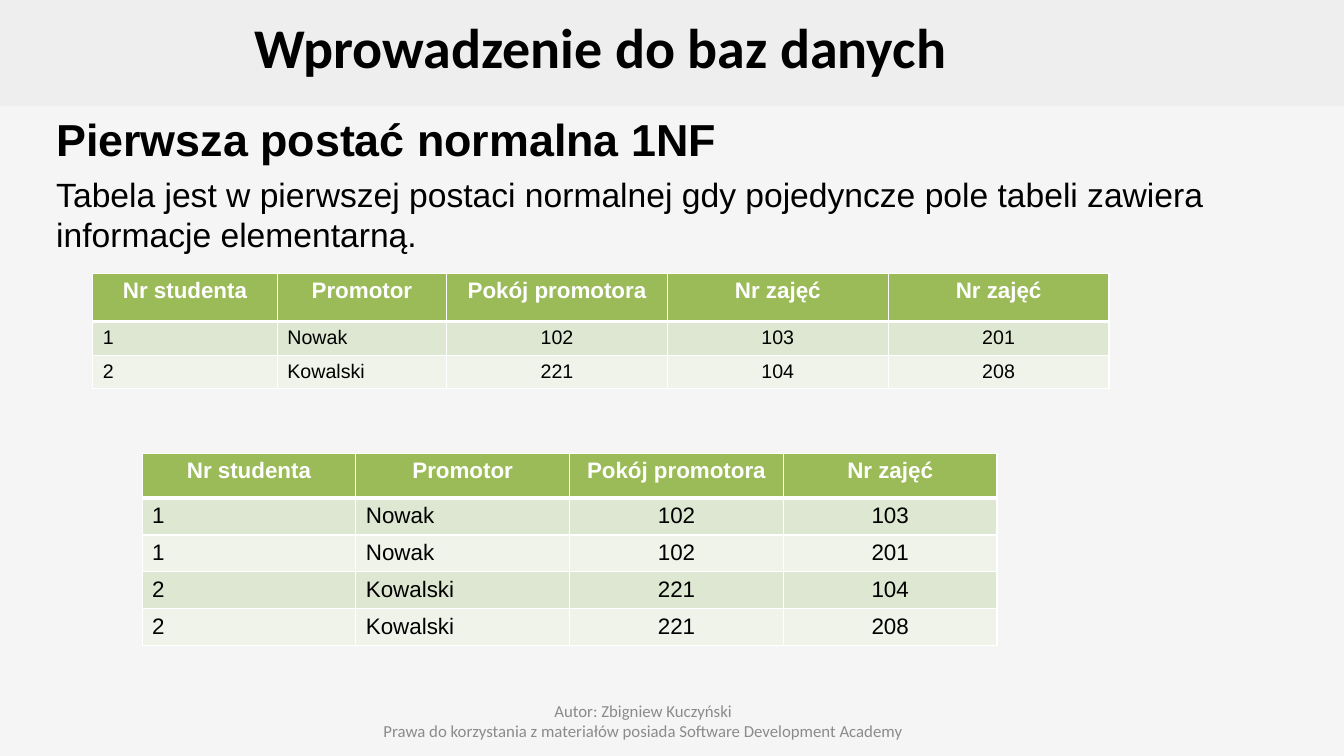
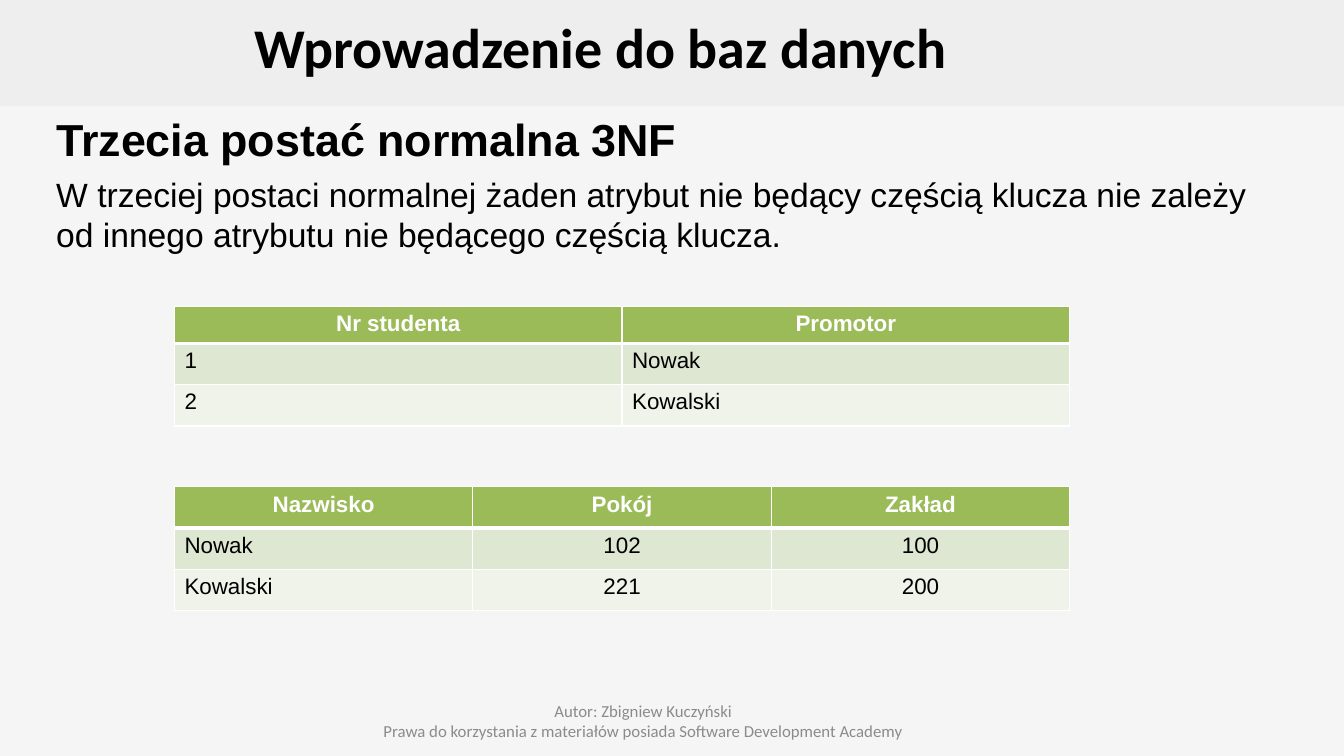
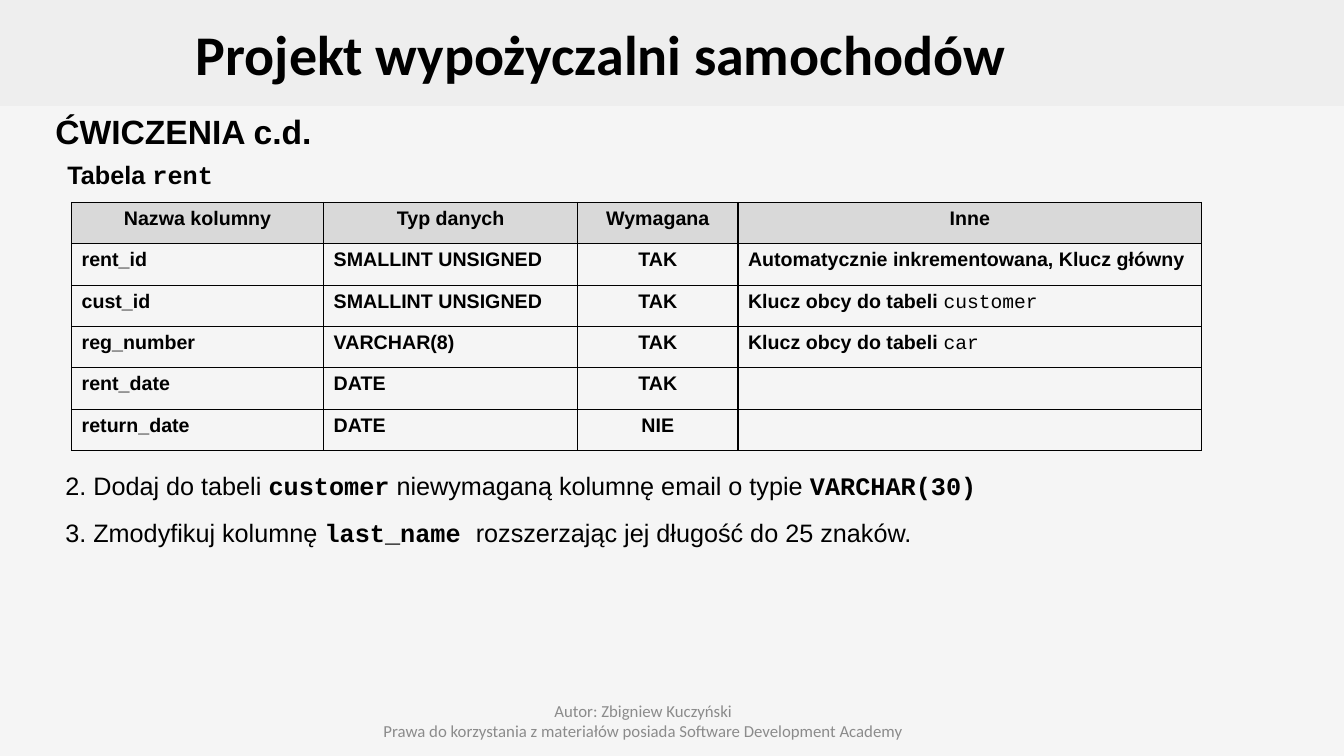
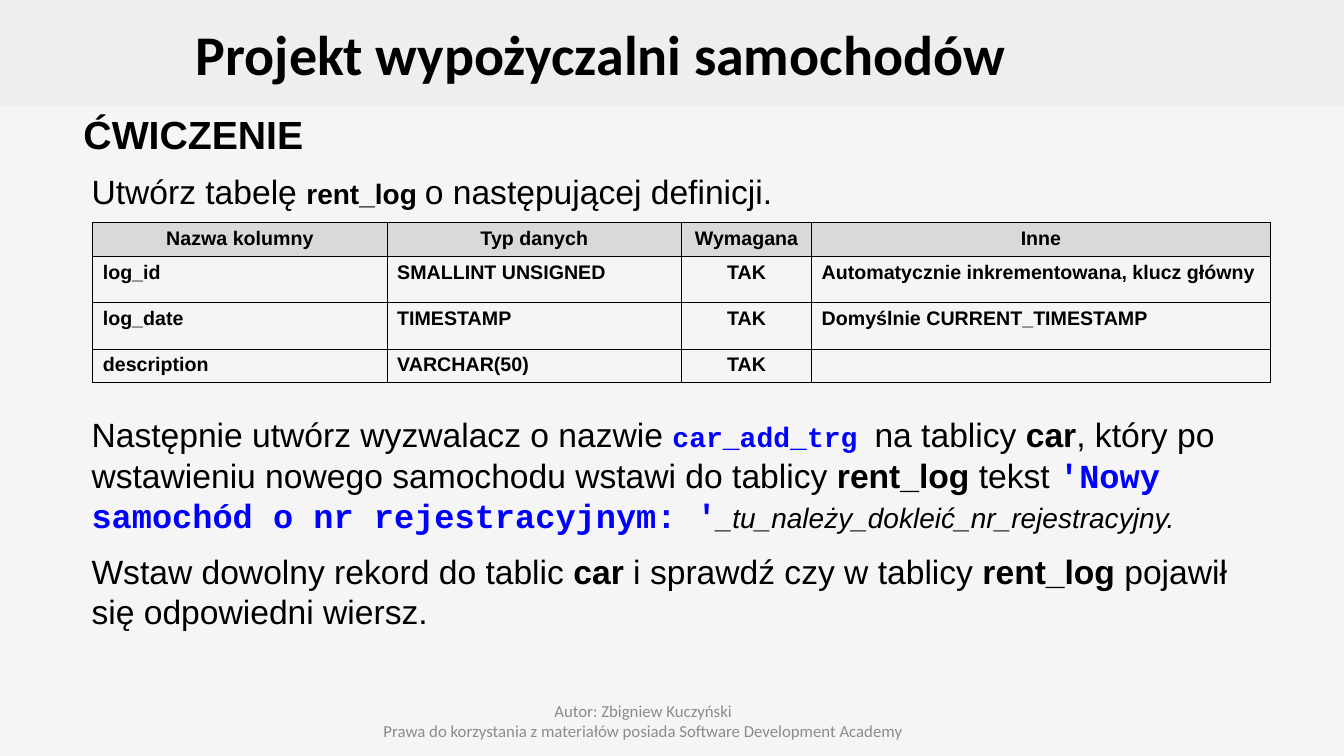
"""Builds four slides on database normal forms and a car rental exercise."""
from dataclasses import dataclass

from lxml.etree import SubElement
from pptx import Presentation
from pptx.dml.color import RGBColor
from pptx.enum.shapes import MSO_SHAPE
from pptx.enum.text import MSO_ANCHOR, PP_ALIGN
from pptx.oxml.ns import qn
from pptx.util import Inches, Pt


@dataclass(frozen=True)
class Theme:
    """Colours, fonts and type sizes of the deck."""
    background: str = "F5F5F5"
    band: str = "EEEEEE"
    ink: str = "000000"
    muted: str = "8B8B8B"
    code: str = "0000FF"
    light: str = "FFFFFF"
    green: str = "9BBB59"
    stripes: tuple = ("DEE7D1", "EFF3EA")
    grey: str = "D9D9D9"
    heading_font: str = "Calibri"
    body_font: str = "Arial"
    code_font: str = "Courier New"
    title: int = 40
    lead: int = 32
    exercise: int = 28
    body: int = 24
    inset: int = 20
    item: int = 18
    cell: int = 16
    small: int = 14
    footer: int = 12
    gap: float = 5.7


THEME = Theme()
BOLD = {"bold": True}
CODE = {"name": THEME.code_font}
BOLD_CODE = {**CODE, **BOLD}
BLUE_CODE = {**BOLD_CODE, "color": THEME.code}
LEAD = {**BOLD, "size": THEME.lead}
ALIGN = {"l": PP_ALIGN.LEFT, "c": PP_ALIGN.CENTER}


class Deck:
    """Holds the theme and the current slide, and draws each kind of element."""

    def __init__(self, theme):
        self.theme = theme
        self.prs = Presentation()
        self.prs.slide_width = Inches(13.33)
        self.prs.slide_height = Inches(7.5)
        self.paint(self.prs.slide_master.background.fill, theme.background)
        self.slide = None

    def paint(self, fill, color):
        fill.solid()
        fill.fore_color.rgb = RGBColor.from_string(color)

    def new_slide(self, title, top, height):
        theme = self.theme
        self.slide = self.prs.slides.add_slide(self.prs.slide_layouts[6])
        band = self.slide.shapes.add_shape(
            MSO_SHAPE.RECTANGLE, 0, 0, self.prs.slide_width, Inches(1.05))
        band.shadow.inherit = False
        band.line.fill.background()
        self.paint(band.fill, theme.band)
        heading = {"name": theme.heading_font, "size": theme.title, "bold": True}
        self.text((0, top, 11.91, height), [[title]], heading,
                  align="c", anchor=MSO_ANCHOR.MIDDLE)
        credit = {"name": theme.heading_font, "size": theme.footer, "color": theme.muted}
        self.text((3.25, 6.95, 6.26, 0.4),
                  [["Autor: Zbigniew Kuczyński"],
                   ["Prawa do korzystania z materiałów posiada Software Development Academy"]],
                  credit, gap=0, align="c", anchor=MSO_ANCHOR.MIDDLE)

    def add_runs(self, paragraph, runs, base):
        plain = {"name": self.theme.body_font, "bold": False, "color": self.theme.ink, **base}
        for piece in runs:
            words, style = (piece, {}) if isinstance(piece, str) else piece
            run = paragraph.add_run()
            run.text = words
            values = {**plain, **style}
            run.font.color.rgb = RGBColor.from_string(values.pop("color"))
            values["size"] = Pt(values["size"])
            for key, value in values.items():
                setattr(run.font, key, value)

    def text(self, box, paragraphs, base, gap=None, indents=(), align="l",
             anchor=MSO_ANCHOR.TOP):
        frame = self.slide.shapes.add_textbox(*map(Inches, box)).text_frame
        frame.word_wrap = True
        frame.vertical_anchor = anchor
        for index, runs in enumerate(paragraphs):
            paragraph = frame.paragraphs[0] if index == 0 else frame.add_paragraph()
            paragraph.alignment = ALIGN[align]
            if index:
                paragraph.space_before = Pt(self.theme.gap if gap is None else gap)
            if index < len(indents):
                properties = paragraph._p.get_or_add_pPr()
                properties.set("marL", str(Inches(indents[index])))
            self.add_runs(paragraph, runs, base)

    def border(self, cell, color, top, bottom):
        properties = cell._tc.get_or_add_tcPr()
        for side, width in {"L": 1, "R": 1, "T": top, "B": bottom}.items():
            line = SubElement(properties, qn(f"a:ln{side}"), w=str(Pt(width)))
            SubElement(SubElement(line, qn("a:solidFill")), qn("a:srgbClr"), val=color)

    def table(self, left, top, columns, heights, aligns, rows, size, striped):
        theme = self.theme
        table = self.slide.shapes.add_table(
            len(rows), len(columns), Inches(left), Inches(top),
            Inches(sum(columns)), Inches(sum(heights))).table
        for column, width in zip(table.columns, columns):
            column.width = Inches(width)
        rule = 3 if striped else 1
        for r, (row, height) in enumerate(zip(rows, heights)):
            table.rows[r].height = Inches(height)
            header = r == 0
            style = {"size": size, "bold": header or not striped}
            if header and striped:
                style.update(size=theme.cell, color=theme.light)
            for c, content in enumerate(row):
                cell = table.cell(r, c)
                self.border(cell, theme.light if striped else theme.ink,
                            rule if r == 1 else 1, rule if header else 1)
                if header:
                    self.paint(cell.fill, theme.green if striped else theme.grey)
                elif striped:
                    self.paint(cell.fill, theme.stripes[(r - 1) % 2])
                else:
                    cell.fill.background()
                paragraph = cell.text_frame.paragraphs[0]
                paragraph.alignment = ALIGN["c" if header else aligns[c]]
                if content:
                    runs = [content] if isinstance(content, str) else content
                    self.add_runs(paragraph, runs, style)
                else:
                    SubElement(paragraph._p, qn("a:endParaRPr"), sz=str(size * 100))

    def striped_table(self, left, top, columns, heights, aligns, rows, size=THEME.cell):
        self.table(left, top, columns, heights, aligns, rows, size, True)

    def definition_table(self, left, top, columns, heights, rows):
        header = ["Nazwa kolumny", "Typ danych", "Wymagana", "Inne"]
        self.table(left, top, columns, heights, "llcl", [header, *rows],
                   self.theme.small, False)

    def normal_form(self, name, definition):
        self.new_slide("Wprowadzenie do baz danych", 0.04, 0.83)
        self.text((0.46, 1.06, 12.3, 1.47), [[(name, LEAD)], [definition]],
                  {"size": self.theme.body})

    def exercise(self):
        self.new_slide("Projekt wypożyczalni samochodów", 0, 1.05)


def first_normal_form(deck):
    deck.normal_form(
        "Pierwsza postać normalna 1NF",
        "Tabela jest w pierwszej postaci normalnej gdy pojedyncze pole tabeli "
        "zawiera informacje elementarną.")
    header = ["Nr studenta", "Promotor", "Pokój promotora", "Nr zajęć"]
    students = [["1", "Nowak", "102", "103", "201"], ["2", "Kowalski", "221", "104", "208"]]
    deck.striped_table(0.92, 2.71, [1.83, 1.68] + [2.19] * 3, [0.48, 0.32, 0.32],
                       "llccc", [header + header[-1:], *students], THEME.small)
    single = [[*student[:3], lesson] for student in students for lesson in student[3:]]
    deck.striped_table(1.41, 4.5, [2.12] * 4, [0.44] + [0.35] * 4, "llcc", [header, *single])


def third_normal_form(deck):
    deck.normal_form(
        "Trzecia postać normalna 3NF",
        "W trzeciej postaci normalnej żaden atrybut nie będący częścią klucza nie zależy "
        "od innego atrybutu nie będącego częścią klucza.")
    deck.striped_table(1.73, 3.04, [4.44] * 2, [0.36, 0.41, 0.41], "ll",
                       [["Nr studenta", "Promotor"], ["1", "Nowak"], ["2", "Kowalski"]])
    deck.striped_table(1.73, 4.83, [2.96] * 3, [0.41] * 3, "lcc",
                       [["Nazwisko", "Pokój", "Zakład"],
                        ["Nowak", "102", "100"], ["Kowalski", "221", "200"]])


def rent_table(deck):
    deck.exercise()
    deck.text((0.45, 1.05, 11.52, 0.89),
              [[("ĆWICZENIA c.d.", {"size": THEME.body})], ["Tabela ", ("rent", CODE)]],
              {"size": THEME.item, **BOLD}, indents=(0, 0.12))
    plain_code = {**CODE, "bold": False}
    foreign = "Klucz obcy do tabeli "
    deck.definition_table(0.71, 2.01, [2.5, 2.52, 1.59, 4.6], [0.41] * 6, [
        ["rent_id", "SMALLINT UNSIGNED", "TAK", "Automatycznie inkrementowana, Klucz główny"],
        ["cust_id", "SMALLINT UNSIGNED", "TAK", [foreign, ("customer", plain_code)]],
        ["reg_number", "VARCHAR(8)", "TAK", [foreign, ("car", plain_code)]],
        ["rent_date", "DATE", "TAK", ""],
        ["return_date", "DATE", "NIE", ""]])
    deck.text((0.55, 4.62, 10.65, 0.88), [
        ["2. Dodaj do tabeli ", ("customer", BOLD_CODE),
         " niewymaganą kolumnę email o typie ", ("VARCHAR(30)", BOLD_CODE)],
        ["3. Zmodyfikuj kolumnę ", ("last_name ", BOLD_CODE),
         "rozszerzając jej długość do 25 znaków."]],
        {"size": THEME.item}, gap=2 * THEME.gap)


def rent_log_trigger(deck):
    deck.exercise()
    body = {"size": THEME.body}
    deck.text((0.73, 1.05, 2.5, 0.57), [["ĆWICZENIE"]], {"size": THEME.exercise, **BOLD})
    deck.text((0.31, 1.65, 7.93, 0.5),
              [["Utwórz tabelę ", ("rent_log ", {**BOLD, "size": THEME.inset}),
                "o następującej definicji."]], body, indents=(0.5,))
    deck.definition_table(0.92, 2.21, [2.92, 2.92, 1.29, 4.55], [0.33, 0.46, 0.46, 0.33], [
        ["log_id", "SMALLINT UNSIGNED", "TAK", "Automatycznie inkrementowana, klucz główny"],
        ["log_date", "TIMESTAMP", "TAK", "Domyślnie CURRENT_TIMESTAMP"],
        ["description", "VARCHAR(50)", "TAK", ""]])
    deck.text((0.31, 4.06, 12.3, 2.46), [
        ["Następnie utwórz wyzwalacz o nazwie ",
         ("car_add_trg ", {**BLUE_CODE, "size": THEME.inset}),
         "na tablicy ", ("car", BOLD),
         ", który po wstawieniu nowego samochodu wstawi do tablicy ", ("rent_log", BOLD),
         " tekst ", ("'Nowy samochód o nr rejestracyjnym: '", BLUE_CODE),
         ("_tu_należy_dokleić_nr_rejestracyjny.", {"size": THEME.inset, "italic": True})],
        ["Wstaw dowolny rekord do tablic ", ("car", BOLD), " i sprawdź czy w tablicy ",
         ("rent_log", BOLD), " pojawił się odpowiedni wiersz."]],
        body, gap=2 * THEME.gap, indents=(0.5, 0.5))


def main():
    deck = Deck(THEME)
    for build in (first_normal_form, third_normal_form, rent_table, rent_log_trigger):
        build(deck)
    deck.prs.save("out.pptx")


if __name__ == "__main__":
    main()
